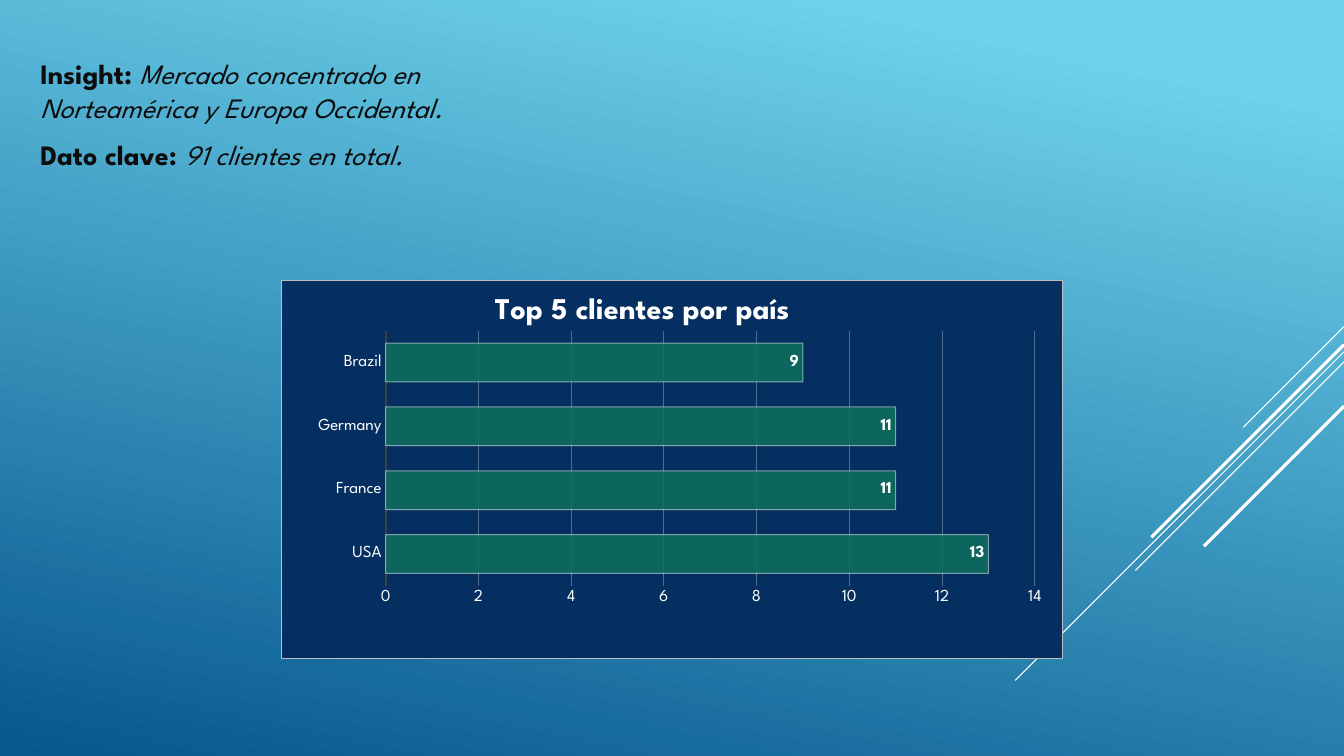
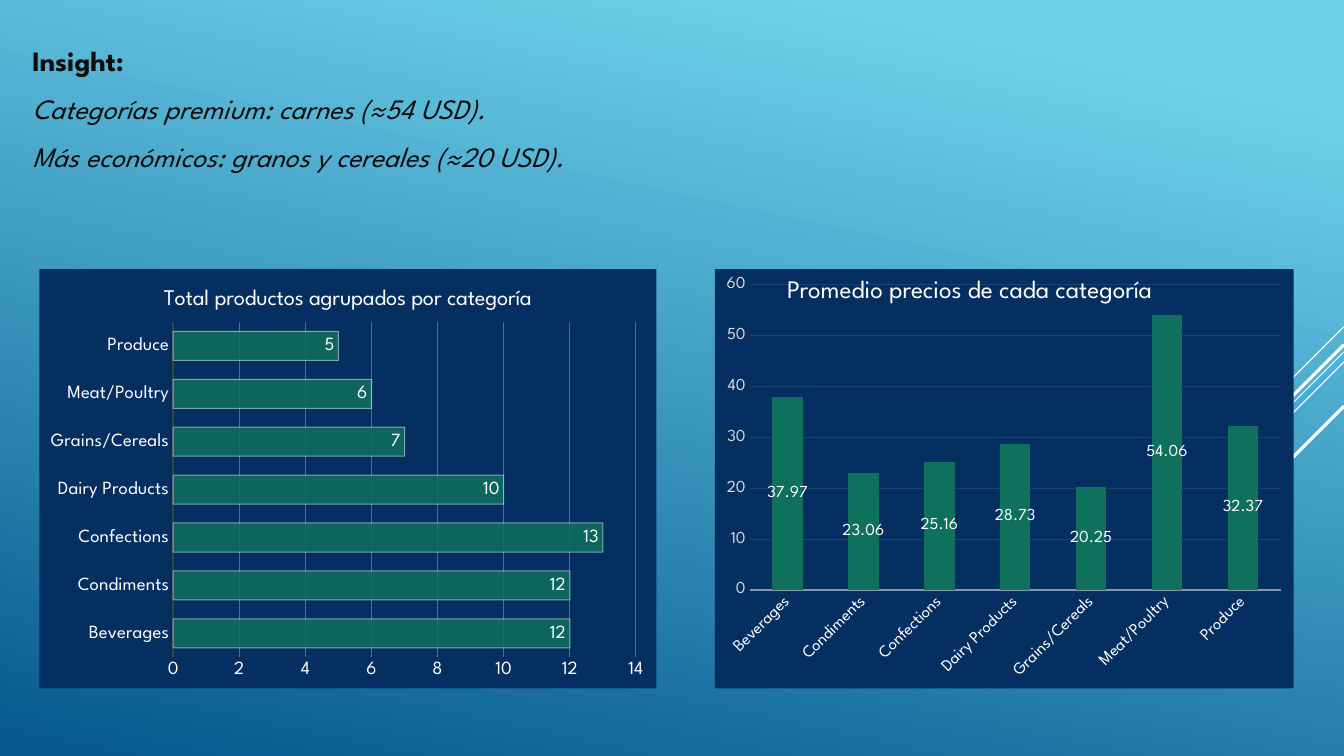
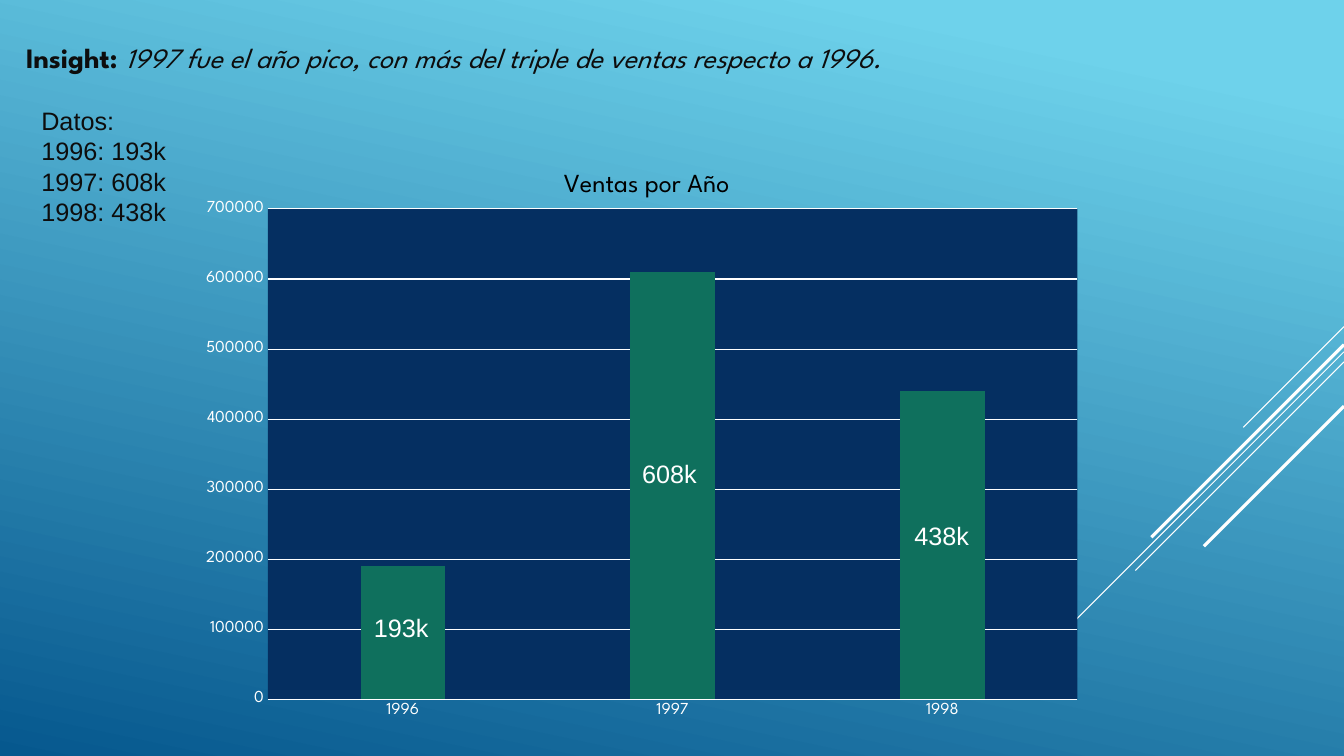
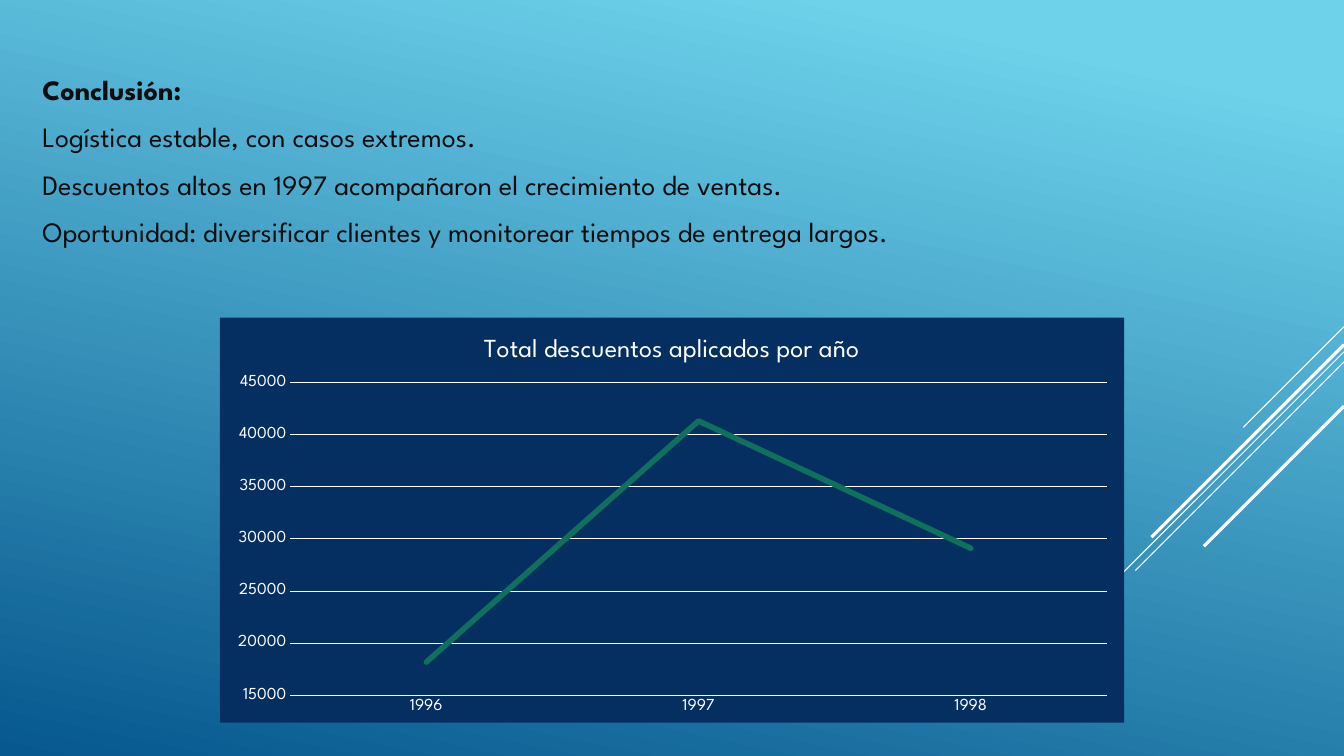
"""Build a four-slide sales report with native charts."""
from dataclasses import dataclass

from lxml import etree
from pptx import Presentation
from pptx import util as u
from pptx.chart import data
from pptx.dml.color import RGBColor
from pptx.enum import chart as charts
from pptx.enum import shapes, text
from pptx.oxml import parse_xml
from pptx.oxml.ns import nsdecls, qn


@dataclass(frozen=True)
class Theme:
    """Colours, fonts and type sizes of the deck."""
    sky: str = "6ED2EB"
    ocean: str = "06588E"
    navy: str = "052F61"
    green: str = "0F705D"
    white: str = "FFFFFF"
    ink: str = "0D0D0D"
    black: str = "000000"
    axis_dark: str = "404040"
    axis_soft: str = "8598AF"
    grid: str = "506D90"
    grid_faint: str = "1D4370"
    tick_grey: str = "D9D9D9"
    border: str = "BFBFBF"
    font: str = "League Spartan"
    plain_font: str = "Arial"
    body: float = 20
    note: float = 18
    large_title: float = 21.6
    chart_title: float = 18.6
    small_title: float = 16
    label: float = 12
    large_label: float = 13.3


THEME = Theme()
WIDTH, HEIGHT = 13.33, 7.5
BOLD = {"bold": True}
ITALIC = {"italic": True}
BODY = {"space_after": u.Pt(6)}
TIGHT = {"space_before": u.Pt(0), "space_after": u.Pt(0), "line_spacing": 1.0}
DIAGONALS = [(3.24, 1, 0.75), (3.49, 3.26, 0.75), (3.59, 2.07, 0.75),
             (3.42, 1.91, 2.25), (4.03, 1.39, 2.25)]
CATEGORIES = ["Beverages", "Condiments", "Confections", "Dairy Products",
              "Grains/Cereals", "Meat/Poultry", "Produce"]
YEARS = ["1996", "1997", "1998"]


def assign(target, values):
    """Set each named attribute of the target."""
    for name, value in values.items():
        setattr(target, name, value)


def rgb(color):
    """Return a colour object for a hex value."""
    return RGBColor.from_string(color)


def set_font(font, size, color, name=THEME.font, **values):
    """Format a font."""
    assign(font, {"name": name, "size": u.Pt(size), **values})
    font.color.rgb = rgb(color)


def set_line(line, color, width):
    """Give a line a colour and a width in points."""
    line.color.rgb = rgb(color)
    line.width = u.Pt(width)


def inches(frame):
    """Convert numbers to lengths."""
    return [u.Inches(value) for value in frame]


def style_master(master):
    """Set the gradient background and unbulleted body text."""
    fill = master.background.fill
    fill.gradient()
    fill.gradient_angle = 360 - 102
    stops = ((0.1, THEME.sky), (1, THEME.ocean))
    for stop, (position, color) in zip(fill.gradient_stops, stops):
        stop.position = position
        stop.color.rgb = rgb(color)
    level = master.element.xpath("//p:bodyStyle/a:lvl1pPr")[0]
    level.set("marL", "0")
    level.set("indent", "0")
    level.replace(level.find(qn("a:buChar")), parse_xml(f"<a:buNone {nsdecls('a')}/>"))


def add_diagonals(slide, master):
    """Draw the diagonal lines and place them on the master."""
    for index, (top, length, width) in enumerate(DIAGONALS):
        ends = inches((WIDTH, top, WIDTH - length, top + length))
        connector = slide.shapes.add_connector(shapes.MSO_CONNECTOR.STRAIGHT, *ends)
        set_line(connector.line, THEME.white, width)
        etree.SubElement(connector.element.find(qn("p:spPr")), qn("a:effectLst"))
        connector.element.xpath(".//p:cNvPr")[0].set("id", str(20 + index))
        master.shapes.element.append(connector.element)


def add_slide(presentation):
    """Add a slide with a body placeholder only."""
    slide = presentation.slides.add_slide(presentation.slide_layouts[1])
    title = slide.shapes.title.element
    title.getparent().remove(title)
    return slide


def write(shape, paragraphs, spacing, size=THEME.body, color=THEME.ink,
          name=THEME.font, anchor=text.MSO_ANCHOR.MIDDLE):
    """Write paragraphs, each a list of text and style pairs."""
    frame = shape.text_frame
    assign(frame, {"word_wrap": True, "auto_size": text.MSO_AUTO_SIZE.NONE,
                   "vertical_anchor": anchor})
    for index, runs in enumerate(paragraphs):
        paragraph = frame.add_paragraph() if index else frame.paragraphs[0]
        assign(paragraph, spacing)
        for words, style in runs:
            run = paragraph.add_run()
            run.text = words
            set_font(run.font, size, color, name, **style)


def add_body(slide, frame, paragraphs, spacing=BODY, **options):
    """Place and fill the body placeholder."""
    body = slide.placeholders[1]
    assign(body, dict(zip(("left", "top", "width", "height"), inches(frame))))
    write(body, paragraphs, spacing, **options)


def add_text(slide, frame, runs, **options):
    """Add a one-paragraph text box."""
    write(slide.shapes.add_textbox(*inches(frame)), [runs], {}, **options)


def add_layout(parent, index, frame, target=""):
    """Position a chart part by percentages of the chart."""
    for old in parent.findall(qn("c:layout")):
        parent.remove(old)
    layout = etree.Element(qn("c:layout"))
    manual = etree.SubElement(layout, qn("c:manualLayout"))
    entries = {"layoutTarget": target} if target else {}
    entries.update(xMode="edge", yMode="edge")
    entries.update((name, round(value / 100, 3)) for name, value in zip("xywh", frame))
    for name, value in entries.items():
        etree.SubElement(manual, qn(f"c:{name}")).set("val", str(value))
    parent.insert(index, layout)


def area_format(color=None, border=None):
    """Return the shape properties of a chart or plot area."""
    def paint(value):
        return (f'<a:solidFill><a:srgbClr val="{value}"/></a:solidFill>'
                if value else "<a:noFill/>")
    return parse_xml(f'<c:spPr {nsdecls("c", "a")}>{paint(color)}'
                     f'<a:ln w="9525">{paint(border)}</a:ln></c:spPr>')


def set_opacity(chart, route, percent):
    """Set the opacity of a series colour."""
    for color in chart.element.xpath(f"//c:ser/c:spPr/{route}/a:srgbClr"):
        etree.SubElement(color, qn("a:alpha")).set("val", str(percent * 1000))


def add_title(chart, words, size, color=THEME.white, place=None, **style):
    """Add a chart title, placed by hand where a place is given."""
    frame = chart.chart_title.text_frame
    run = frame.paragraphs[0].add_run()
    run.text = words
    set_font(run.font, size, color, **{"bold": False, **style})
    if place:
        add_layout(chart.element.xpath("//c:chart/c:title")[0], 1, place)


def add_chart(slide, kind, frame, categories, values, scale, plot, size=THEME.label,
              axis=(THEME.white, 0.75), grid=THEME.white, ticks=THEME.white,
              fill=THEME.navy, border=None, plot_fill=None):
    """Add a one-series chart with styled axes and areas."""
    chart_data = data.CategoryChartData()
    chart_data.categories = categories
    chart_data.add_series("Series 1", values)
    chart = slide.shapes.add_chart(kind, *inches(frame), chart_data).chart
    chart.has_legend = False
    chart.has_title = False
    set_font(chart.font, size, THEME.white)
    chart.plots[0].vary_by_categories = False
    for part, color in ((chart.category_axis, THEME.white), (chart.value_axis, ticks)):
        part.major_tick_mark = charts.XL_TICK_MARK.NONE
        part.minor_tick_mark = charts.XL_TICK_MARK.NONE
        set_font(part.tick_labels.font, size, color)
    set_line(chart.category_axis.format.line, *axis)
    value_axis = chart.value_axis
    assign(value_axis, dict(zip(("minimum_scale", "maximum_scale", "major_unit"), scale)))
    value_axis.format.line.fill.background()
    value_axis.has_major_gridlines = True
    set_line(value_axis.major_gridlines.format.line, grid, 0.75)
    chart.element.find(qn("c:chart")).addnext(area_format(fill, border))
    plot_area = chart.element.xpath("//c:plotArea")[0]
    plot_area.append(area_format(plot_fill))
    add_layout(plot_area, 0, plot, "inner")
    return chart


def style_bars(chart, gap, overlap=0):
    """Colour the bars and set their spacing."""
    assign(chart.plots[0], {"gap_width": gap, "overlap": overlap})
    fill = chart.plots[0].series[0].format.fill
    fill.solid()
    fill.fore_color.rgb = rgb(THEME.green)


def add_labels(chart, position, size, **style):
    """Show values on the bars."""
    labels = chart.plots[0].series[0].data_labels
    assign(labels, {"show_value": True, "position": position})
    set_font(labels.font, size, THEME.white, **style)


def add_bars(slide, frame, categories, values, plot, size, border=None, **style):
    """Add a horizontal chart with translucent outlined bars."""
    chart = add_chart(slide, charts.XL_CHART_TYPE.BAR_CLUSTERED, frame, categories, values,
                      (0, 14, 2), plot, size, (THEME.axis_dark, 1.5), THEME.grid,
                      border=border)
    style_bars(chart, 65)
    set_line(chart.plots[0].series[0].format.line, THEME.white, 0.75)
    set_opacity(chart, "a:solidFill", 85)
    set_opacity(chart, "a:ln/a:solidFill", 50)
    add_labels(chart, charts.XL_LABEL_POSITION.INSIDE_END, size, **style)
    return chart


def build_customers(slide):
    """Build the customers slide."""
    add_body(slide, (0.3, 0.29, 5.4, 1.68), [
        [("Insight: ", BOLD),
         ("Mercado concentrado en Norteamérica y Europa Occidental.", ITALIC)],
        [("Dato clave: ", BOLD), ("91 clientes en total.", ITALIC)]])
    chart = add_bars(slide, (2.79, 2.78, 7.75, 3.76), ["USA", "France", "Germany", "Brazil"],
                     [13, 11, 11, 9], (13.3, 13.2, 83.2, 67.6), THEME.label,
                     THEME.border, bold=True)
    add_title(chart, "Top 5 clientes por país", THEME.large_title, place=(26.6, 2.2),
              bold=True)


def build_products(slide):
    """Build the product categories slide."""
    add_body(slide, (0.22, 0.21, 7.23, 1.73), [
        [("Insight:", BOLD)],
        [("Categorías premium: carnes (≈54 USD).", ITALIC)],
        [("Más económicos: granos y cereales (≈20 USD).", ITALIC)]])
    totals = add_bars(slide, (0.39, 2.67, 6.12, 4.16), CATEGORIES, [12, 12, 13, 10, 7, 6, 5],
                      (21.7, 12.6, 75, 80), THEME.large_label)
    add_title(totals, "Total productos agrupados por categoría", THEME.small_title)
    prices = add_chart(slide, charts.XL_CHART_TYPE.COLUMN_STACKED, (7.09, 2.67, 5.74, 4.16),
                       CATEGORIES, [37.97, 23.06, 25.16, 28.73, 20.25, 54.06, 32.37],
                       (0, 60, 10), (6, 3.8, 91.8, 72.8), axis=(THEME.axis_soft, 1),
                       grid=THEME.grid_faint, ticks=THEME.tick_grey)
    style_bars(prices, 150, 100)
    add_labels(prices, charts.XL_LABEL_POSITION.CENTER, THEME.label)
    prices.element.xpath("//c:catAx/c:txPr/a:bodyPr")[0].set("rot", "-2700000")
    add_text(slide, (7.71, 2.66, 4.84, 0.4), [("Promedio precios de cada categoría", {})],
             size=THEME.note, color=THEME.white, anchor=text.MSO_ANCHOR.TOP)


def build_sales(slide):
    """Build the yearly sales slide."""
    lines = ["Datos:", "1996: 193k", "1997: 608k", "1998: 438k"]
    add_body(slide, (0.31, 0.99, 1.55, 1.31), [[(line, {})] for line in lines], TIGHT,
             size=THEME.note, name=THEME.plain_font)
    add_text(slide, (0.16, 0.35, 10.5, 0.44), [
        ("Insight: ", BOLD),
        ("1997 fue el año pico, con más del triple de ventas respecto a 1996.", ITALIC)])
    chart = add_chart(slide, charts.XL_CHART_TYPE.COLUMN_CLUSTERED, (1.92, 1.47, 8.99, 5.86),
                      YEARS, [190000, 610000, 440000], (0, 700000, 100000),
                      (8.2, 10.3, 89.3, 83), fill=None, plot_fill=THEME.navy)
    style_bars(chart, 219, -27)
    add_title(chart, "Ventas por Año", THEME.chart_title, THEME.black)
    for left, top, label in ((3.61, 6.03, "193k"), (6.27, 4.5, "608k"), (8.97, 5.11, "438k")):
        add_text(slide, (left, top, 0.79, 0.4), [(label, {})], size=THEME.note,
                 color=THEME.white, name=THEME.plain_font, anchor=text.MSO_ANCHOR.TOP)


def build_conclusion(slide):
    """Build the conclusion slide."""
    add_body(slide, (0.32, 0.47, 9.33, 2.24), [
        [("Conclusión:", BOLD)],
        [("Logística estable, con casos extremos.", {})],
        [("Descuentos altos en 1997 acompañaron el crecimiento de ventas.", {})],
        [("Oportunidad: diversificar clientes y monitorear tiempos de entrega largos.", {})]])
    chart = add_chart(slide, charts.XL_CHART_TYPE.LINE, (2.18, 3.15, 8.97, 4.02), YEARS,
                      [18200, 41300, 29100], (15000, 45000, 5000), (7.8, 16, 90.3, 77.3))
    series = chart.plots[0].series[0]
    series.smooth = False
    set_line(series.format.line, THEME.green, 4)
    chart.element.xpath("//c:ser/c:spPr/a:ln")[0].set("cap", "rnd")
    add_title(chart, "Total descuentos aplicados por año", THEME.chart_title)


def main():
    """Build and save the presentation."""
    presentation = Presentation()
    assign(presentation, {"slide_width": u.Inches(WIDTH), "slide_height": u.Inches(HEIGHT)})
    master = presentation.slide_master
    style_master(master)
    for build in (build_customers, build_products, build_sales, build_conclusion):
        build(add_slide(presentation))
    add_diagonals(presentation.slides[0], master)
    presentation.save("out.pptx")


if __name__ == "__main__":
    main()
